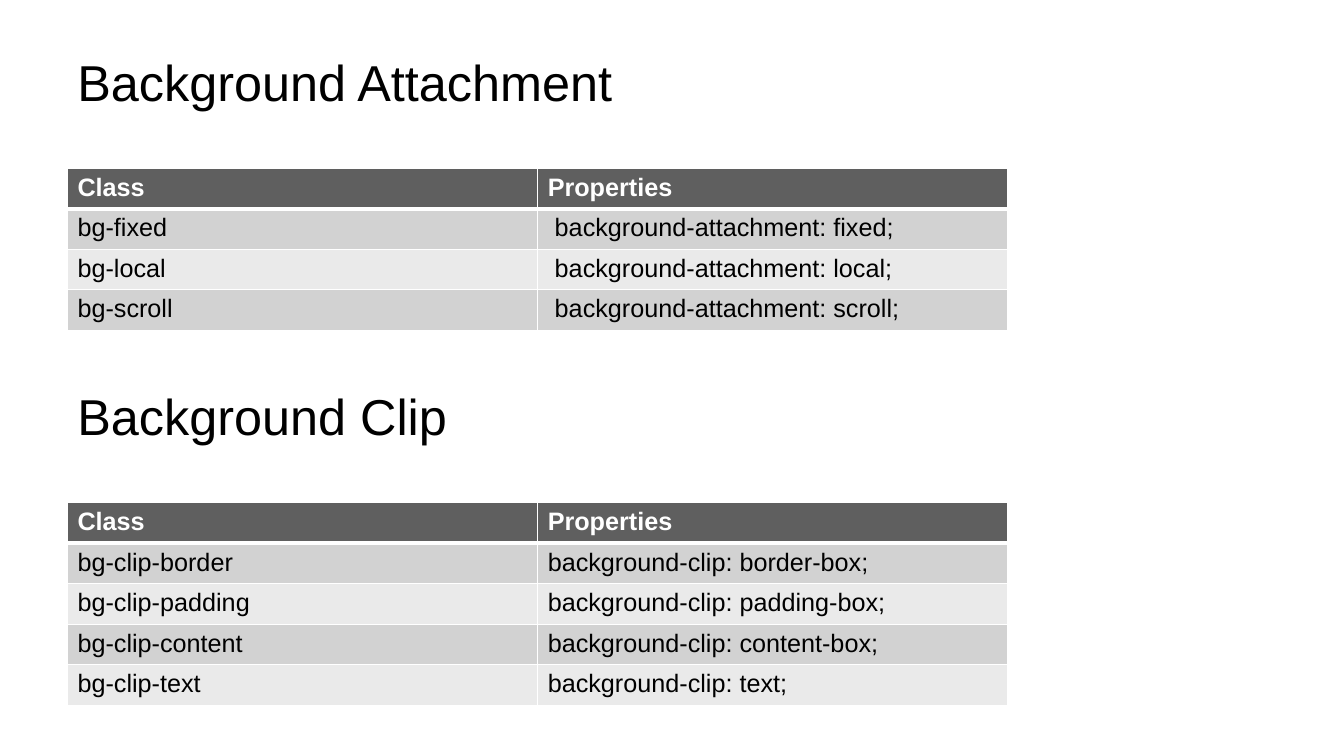
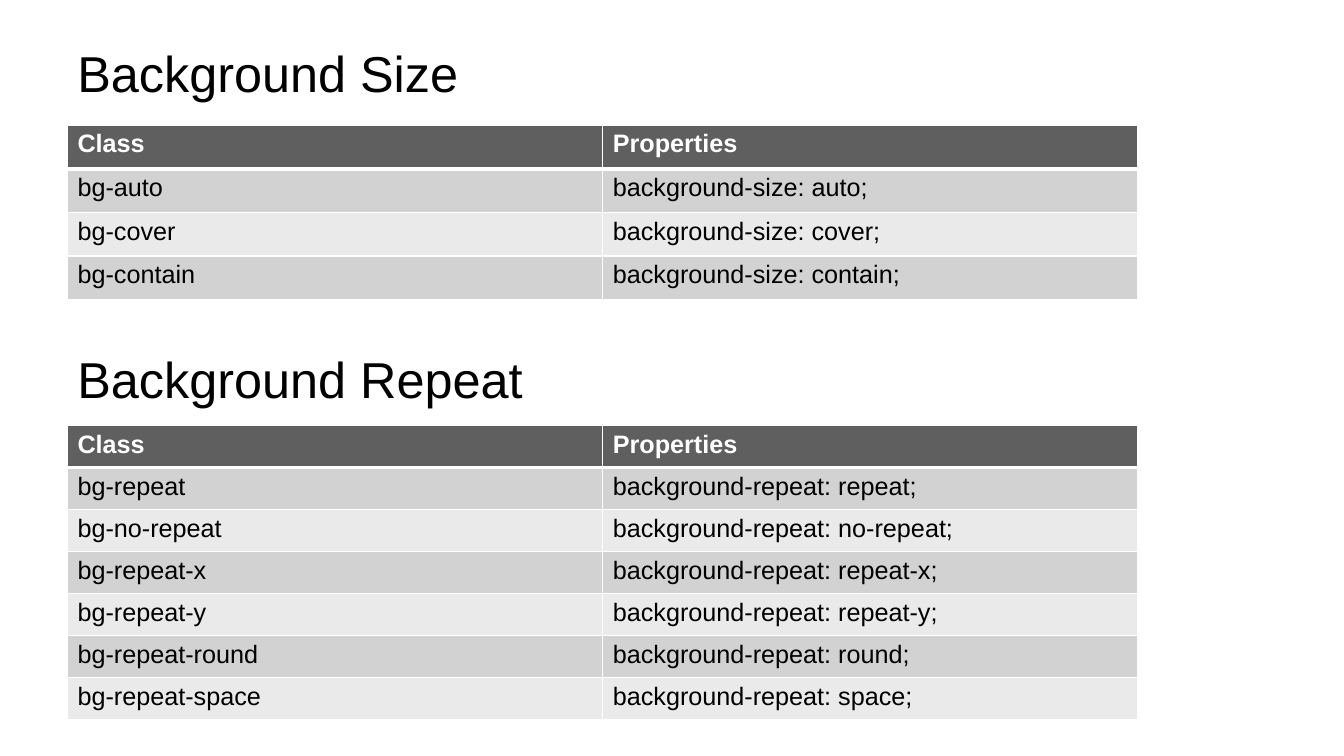
"""Build two slides of background utility classes and their CSS properties."""
import pptx
import pptx.dml.color
import pptx.enum.text
import pptx.oxml
import pptx.oxml.ns
import pptx.util
from pptx.util import Cm

FONT = "Arial"
BLACK, WHITE = "000000", "FFFFFF"
HEADER_FILL = "5F5F5F"
BAND_FILLS = ("D2D2D2", "EAEAEA")
LEFT = 1.7
HEADINGS = ("Class", "Properties")

ATTACHMENT_ROWS = [
    ("bg-fixed", " background-attachment: fixed;"),
    ("bg-local", " background-attachment: local;"),
    ("bg-scroll", " background-attachment: scroll;"),
]
CLIP_ROWS = [
    ("bg-clip-border", "background-clip: border-box;"),
    ("bg-clip-padding", "background-clip: padding-box;"),
    ("bg-clip-content", "background-clip: content-box;"),
    ("bg-clip-text", "background-clip: text;"),
]
SIZE_ROWS = [
    ("bg-auto", "background-size: auto;"),
    ("bg-cover", "background-size: cover;"),
    ("bg-contain", "background-size: contain;"),
]
REPEAT_ROWS = [
    ("bg-repeat", "background-repeat: repeat;"),
    ("bg-no-repeat", "background-repeat: no-repeat;"),
    ("bg-repeat-x", "background-repeat: repeat-x;"),
    ("bg-repeat-y", "background-repeat: repeat-y;"),
    ("bg-repeat-round", "background-repeat: round;"),
    ("bg-repeat-space", "background-repeat: space;"),
]


def rgb(value):
    return pptx.dml.color.RGBColor.from_string(value)


def write(paragraph, text, size, color, bold=False):
    paragraph.text = text
    font = paragraph.font
    font.name, font.size, font.bold = FONT, pptx.util.Pt(size), bold
    font.color.rgb = rgb(color)


def add_title(slide, text, top):
    title = slide.shapes.add_textbox(Cm(LEFT), Cm(top), Cm(30.48), Cm(1.63))
    frame = title.text_frame
    frame.word_wrap = True
    frame.vertical_anchor = pptx.enum.text.MSO_ANCHOR.MIDDLE
    write(frame.paragraphs[0], text, 36, BLACK)


def add_borders(cell, top=1, bottom=1):
    properties = cell._tc.get_or_add_tcPr()
    for side, points in (("L", 1), ("R", 1), ("T", top), ("B", bottom)):
        properties.append(pptx.oxml.parse_xml(
            f'<a:ln{side} {pptx.oxml.ns.nsdecls("a")} w="{pptx.util.Pt(points)}">'
            f'<a:solidFill><a:srgbClr val="{WHITE}"/></a:solidFill></a:ln{side}>'))


def style_cell(cell, text, row):
    is_header = row == 0
    add_borders(cell, top=3 if row == 1 else 1, bottom=3 if is_header else 1)
    cell.fill.solid()
    cell.fill.fore_color.rgb = rgb(HEADER_FILL if is_header else BAND_FILLS[(row - 1) % 2])
    write(cell.text_frame.paragraphs[0], text, 18, WHITE if is_header else BLACK, is_header)


def add_class_table(slide, class_rows, top, column_width, row_height):
    rows = [HEADINGS, *class_rows]
    table = slide.shapes.add_table(
        len(rows), len(HEADINGS), Cm(LEFT), Cm(top),
        Cm(column_width * len(HEADINGS)), Cm(row_height * len(rows))).table
    table.horz_banding = False
    for column in table.columns:
        column.width = Cm(column_width)
    for row, texts in enumerate(rows):
        table.rows[row].height = Cm(row_height)
        for column, text in enumerate(texts):
            style_cell(table.cell(row, column), text, row)


def main():
    deck = pptx.Presentation()
    deck.slide_width, deck.slide_height = Cm(33.87), Cm(19.05)
    slides = [
        (11.85, [("Background Attachment", 1.24, ATTACHMENT_ROWS, 4.24, 1.02),
                 ("Background Clip", 9.65, CLIP_ROWS, 12.67, 1.02)]),
        (13.49, [("Background Size", 1.02, SIZE_ROWS, 3.15, 1.1),
                 ("Background Repeat", 8.71, REPEAT_ROWS, 10.72, 1.06)]),
    ]
    for column_width, sections in slides:
        slide = deck.slides.add_slide(deck.slide_layouts[6])
        for title, title_top, class_rows, table_top, row_height in sections:
            add_title(slide, title, title_top)
            add_class_table(slide, class_rows, table_top, column_width, row_height)
    deck.save("out.pptx")


if __name__ == "__main__":
    main()
